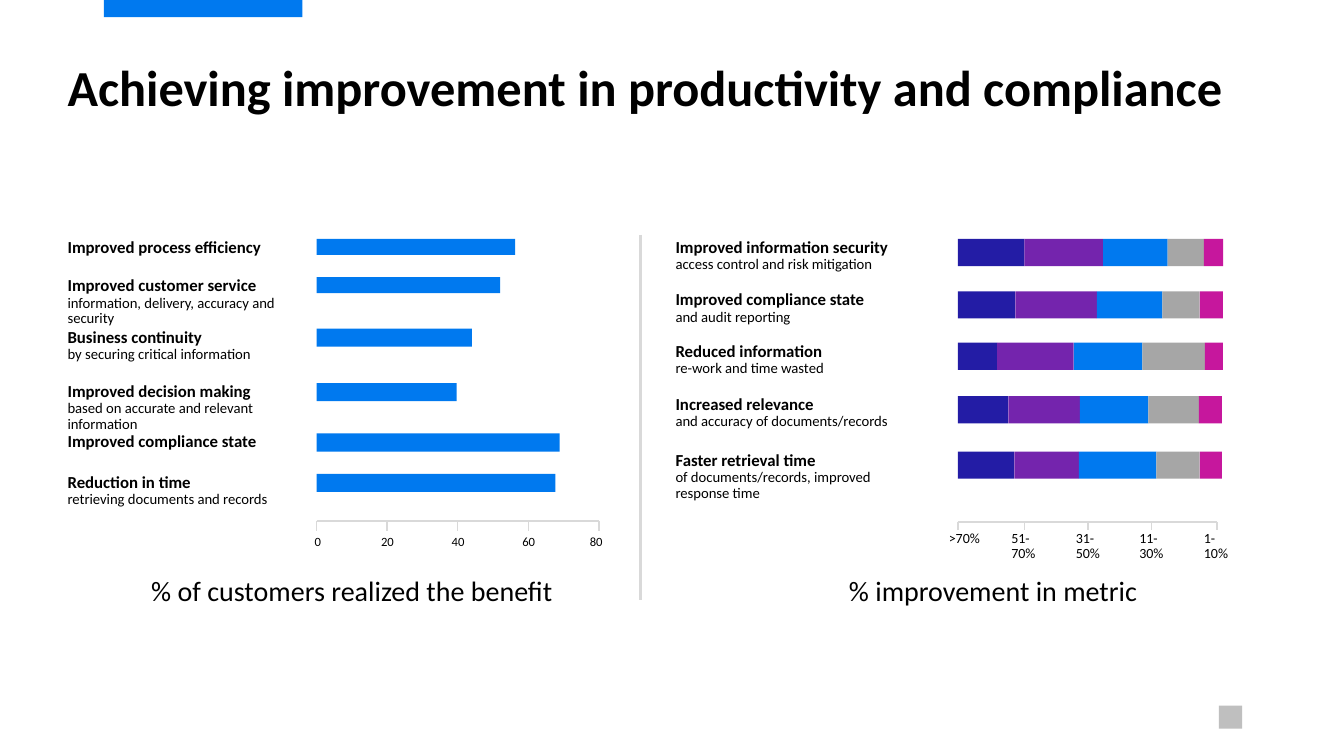
from lxml import etree
from pptx import Presentation
from pptx import util as u
from pptx.dml.color import RGBColor
from pptx.enum import shapes, text
from pptx.oxml.ns import qn

BLUE = RGBColor(0x00, 0x79, 0xEF)
NAVY = RGBColor(0x23, 0x1C, 0xA5)
PURPLE = RGBColor(0x74, 0x24, 0xAD)
GREY = RGBColor(0xA6, 0xA6, 0xA6)
PINK = RGBColor(0xC6, 0x17, 0x9D)
RULE = RGBColor(0xD9, 0xD9, 0xD9)
MARK = RGBColor(0xBF, 0xBF, 0xBF)
BLACK = RGBColor(0, 0, 0)

HEAD = {"size": u.Pt(12), "bold": True}
NOTE = {"size": u.Pt(10.5), "bold": False}

# top, bar height, customers in percent, heading, detail
GAINS = [
    (2.37, 0.16, 56.3, "Improved process efficiency", ""),
    (2.75, 0.16, 52, "Improved customer service",
     "information, delivery, accuracy and security"),
    (3.26, 0.18, 44, "Business continuity", "by securing critical information"),
    (3.8, 0.18, 39.7, "Improved decision making",
     "based on accurate and relevant information"),
    (4.3, 0.18, 68.9, "Improved compliance state", ""),
    (4.7, 0.18, 67.7, "Reduction in time", "retrieving documents and records"),
]

# top, segment widths, heading, detail
METRICS = [
    (2.37, (0.66, 0.78, 0.64, 0.36, 0.19), "Improved information security",
     "access control and risk mitigation"),
    (2.89, (0.57, 0.81, 0.65, 0.37, 0.23), "Improved compliance state",
     "and audit reporting"),
    (3.4, (0.39, 0.76, 0.68, 0.62, 0.18), "Reduced information",
     "re-work and time wasted"),
    (3.93, (0.5, 0.71, 0.68, 0.5, 0.23), "Increased relevance",
     "and accuracy of documents/records"),
    (4.48, (0.56, 0.64, 0.77, 0.43, 0.22), "Faster retrieval time",
     "of documents/records, improved response time"),
]


def add_rect(slide, x, y, w, h, fill):
    box = slide.shapes.add_shape(shapes.MSO_SHAPE.RECTANGLE,
                                 *map(u.Inches, (x, y, w, h)))
    box.shadow.inherit = False
    box.fill.solid()
    box.fill.fore_color.rgb = fill
    box.line.fill.background()


def add_line(slide, x1, y1, x2, y2, width=1):
    line = slide.shapes.add_connector(shapes.MSO_CONNECTOR.STRAIGHT,
                                      *map(u.Inches, (x1, y1, x2, y2)))
    line.line.color.rgb = RULE
    line.line.width = u.Pt(width)
    etree.SubElement(line._element.spPr, qn("a:effectLst"))


def write(frame, *runs):
    """Fill a text frame with (words, format) runs, one per line."""
    frame.word_wrap = True
    frame.auto_size = text.MSO_AUTO_SIZE.NONE
    frame.vertical_anchor = text.MSO_ANCHOR.TOP
    para = frame.paragraphs[0]
    para.alignment = text.PP_ALIGN.LEFT
    para.line_spacing = 0.9
    for i, (words, form) in enumerate(runs):
        if i:
            para.add_line_break()
        run = para.add_run()
        run.text = words
        run.font.color.rgb = BLACK
        for key, value in {"name": "Calibri", **form}.items():
            setattr(run.font, key, value)


def add_text(slide, x, y, w, h, *runs):
    frame = slide.shapes.add_textbox(*map(u.Inches, (x, y, w, h))).text_frame
    for side in ("left", "top", "right", "bottom"):
        setattr(frame, "margin_" + side, 0)
    write(frame, *runs)


def add_label(slide, x, y, head, note):
    runs = [(head, HEAD)] + ([(note, NOTE)] if note else [])
    add_text(slide, x, y, 2.48, 0.35, *runs)


def add_axis(slide, x, y, tick, drop, width, size, marks):
    """Draw an axis; marks holds (tick offset, label shift, label)."""
    add_line(slide, x, y, x + marks[-1][0], y)
    for pos, shift, label in marks:
        add_line(slide, x + pos, y, x + pos, y + tick)
        add_text(slide, x + pos + shift, y + drop, width, 0.17,
                 (label, {"size": u.Pt(size)}))


def add_title(slide, x, y, w, h):
    title = slide.shapes.title
    place = {"left": x, "top": y, "width": w, "height": h}
    for key, value in place.items():
        setattr(title, key, u.Inches(value))
    title.text_frame.margin_left = 0
    write(title.text_frame,
          ("Achieving improvement in productivity and compliance",
           {"size": u.Pt(36), "bold": True}))


def add_gains(slide, x):
    """Left panel: share of customers for each benefit."""
    bar, step = x + 2.47, 0.7
    for y, h, share, head, note in GAINS:
        add_rect(slide, bar, y, share * step / 20, h, BLUE)
        add_label(slide, x, y, head, note)
    shifts = (-0.02, -0.06, -0.06, -0.06, -0.09)
    marks = [(i * step, shift, str(i * 20)) for i, shift in enumerate(shifts)]
    add_axis(slide, bar, 5.17, 0.1, 0.14, 0.21, 9, marks)
    add_text(slide, x + 0.83, 5.73, 4.44, 0.33,
             ("% of customers realized the benefit", {"size": u.Pt(20)}))


def add_metrics(slide, x):
    """Right panel: stacked bars of improvement bands."""
    bar = x + 2.8
    for y, widths, head, note in METRICS:
        left = bar
        for w, fill in zip(widths, (NAVY, PURPLE, BLUE, GREY, PINK)):
            add_rect(slide, left, y, w, 0.27, fill)
            left += w
        add_label(slide, x, y, head, note)
    marks = [(0, -0.09, ">70%"), (0.66, -0.13, "51-70%"),
             (1.29, -0.12, "31-50%"), (1.92, -0.12, "11-30%"),
             (2.57, -0.13, "1-10%")]
    add_axis(slide, bar, 5.18, 0.08, 0.09, 0.35, 10, marks)
    add_text(slide, x + 1.72, 5.73, 3.08, 0.37,
             ("% improvement in metric", {"size": u.Pt(20)}))


def main():
    deck = Presentation()
    deck.slide_width, deck.slide_height = u.Inches(13.33), u.Inches(7.5)
    slide = deck.slides.add_slide(deck.slide_layouts[5])
    add_rect(slide, 12.09, 7, 0.23, 0.23, MARK)
    add_rect(slide, 1.03, 0, 1.97, 0.17, BLUE)
    add_title(slide, 0.67, 0.57, 12, 0.45)
    add_gains(slide, 0.67)
    add_line(slide, 6.35, 2.33, 6.35, 5.95, 2.25)
    add_metrics(slide, 6.7)
    deck.save("out.pptx")


if __name__ == "__main__":
    main()
